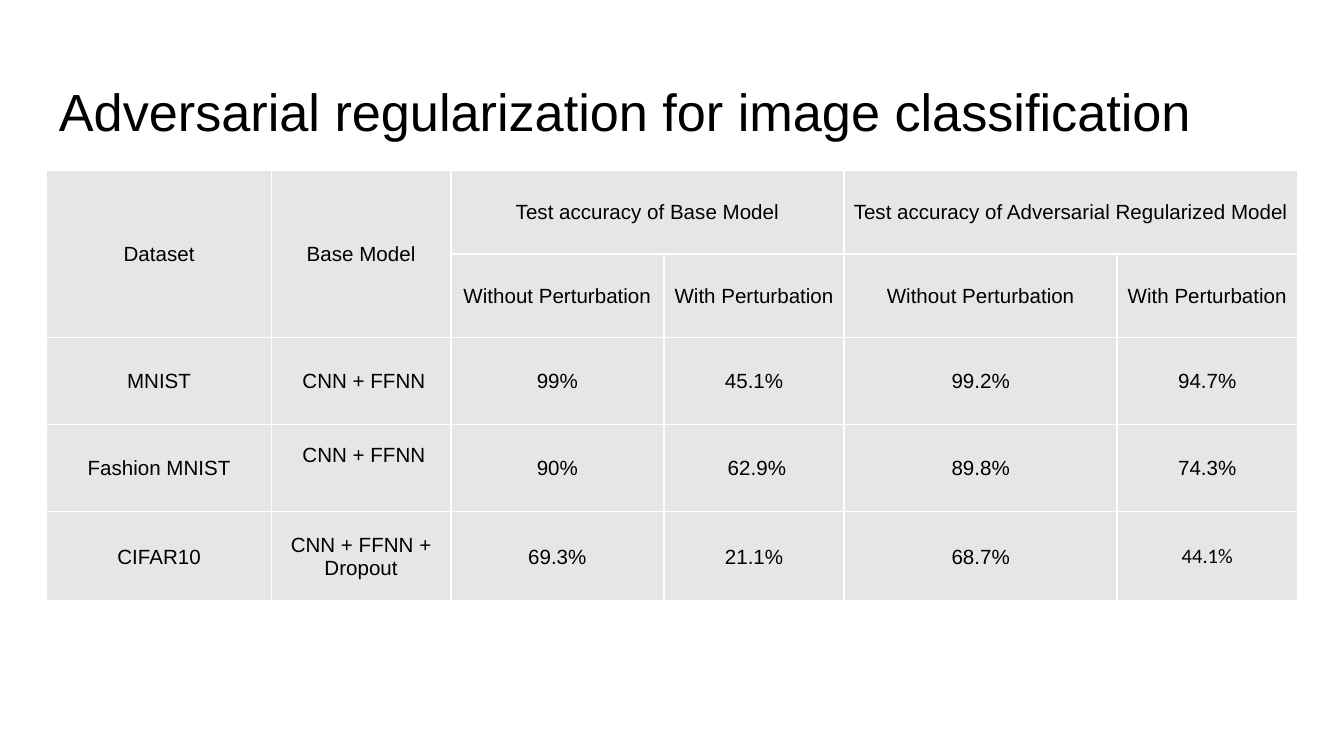
from lxml import etree
from pptx import Presentation
from pptx.dml.color import RGBColor
from pptx.enum.text import MSO_ANCHOR, PP_ALIGN
from pptx.oxml.ns import qn
from pptx.util import Pt

LEFT, CENTER = PP_ALIGN.LEFT, PP_ALIGN.CENTER
TOP, MIDDLE = MSO_ANCHOR.TOP, MSO_ANCHOR.MIDDLE

# Content
TITLE = "Adversarial regularization for image classification"
ROWS = [
    ["Dataset", "Base Model", "Test accuracy of Base Model", "",
     "Test accuracy of Adversarial Regularized Model", ""],
    ["", ""] + ["Without Perturbation", "With Perturbation"] * 2,
    ["MNIST", " CNN + FFNN", "99%", "45.1%", "99.2%", "94.7%"],
    ["Fashion MNIST", " CNN + FFNN", "90%", " 62.9%", "89.8%", "74.3%"],
    ["CIFAR10", "CNN + FFNN + Dropout", "69.3%", "21.1%", "68.7%", "44.1%"],
]
SPANS = [((0, 0), (1, 0)), ((0, 1), (1, 1)),
         ((0, 2), (0, 3)), ((0, 4), (0, 5))]
WIDTHS = [120.5, 96, 114.3, 96.5, 146.3, 96.5]
HEIGHTS = [45.2, 44.7, 46.6, 46.6, 48]
FONTS = {(4, 5): "Calibri"}
RAISED = {(3, 1): 14}  # extra space below the text


def color(code):
    return RGBColor.from_string(code)


def write(frame, text, size=11, font="Arial", ink="000000", align=CENTER):
    para = frame.paragraphs[0]
    para.alignment = align
    run = para.add_run()
    run.text = text
    run.font.size = Pt(size)
    run.font.name = font
    run.font.color.rgb = color(ink)


def edge(cell, ink="FFFFFF", width=1):
    props = cell._tc.get_or_add_tcPr()
    for side in ("a:lnL", "a:lnR", "a:lnT", "a:lnB"):
        line = etree.SubElement(props, qn(side), w=str(Pt(width)))
        fill = etree.SubElement(line, qn("a:solidFill"))
        etree.SubElement(fill, qn("a:srgbClr"), val=ink)


deck = Presentation()
deck.slide_width, deck.slide_height = Pt(720), Pt(405)
slide = deck.slides.add_slide(deck.slide_layouts[6])

# Title
box = slide.shapes.add_textbox(Pt(24.5), Pt(35.3), Pt(671), Pt(45.4))
frame = box.text_frame
frame.word_wrap = True
frame.vertical_anchor = TOP
frame.margin_left = frame.margin_right = Pt(7.2)
frame.margin_top = frame.margin_bottom = Pt(7.2)
write(frame, TITLE, size=28, align=LEFT)

# Table grid
table = slide.shapes.add_table(
    len(HEIGHTS), len(WIDTHS), Pt(25), Pt(91),
    Pt(sum(WIDTHS)), Pt(sum(HEIGHTS))).table
table.first_row = table.horz_banding = False
for col, width in zip(table.columns, WIDTHS):
    col.width = Pt(width)
for row, height in zip(table.rows, HEIGHTS):
    row.height = Pt(height)
for start, end in SPANS:
    table.cell(*start).merge(table.cell(*end))

# Table cells
for r, row in enumerate(ROWS):
    for c, text in enumerate(row):
        cell = table.cell(r, c)
        edge(cell)
        cell.fill.solid()
        cell.fill.fore_color.rgb = color("E6E6E6")
        cell.vertical_anchor = MIDDLE
        cell.margin_left = cell.margin_right = cell.margin_top = Pt(0.7)
        cell.margin_bottom = Pt(RAISED.get((r, c), 0))
        if text:
            write(cell.text_frame, text, font=FONTS.get((r, c), "Arial"))

deck.save("out.pptx")
